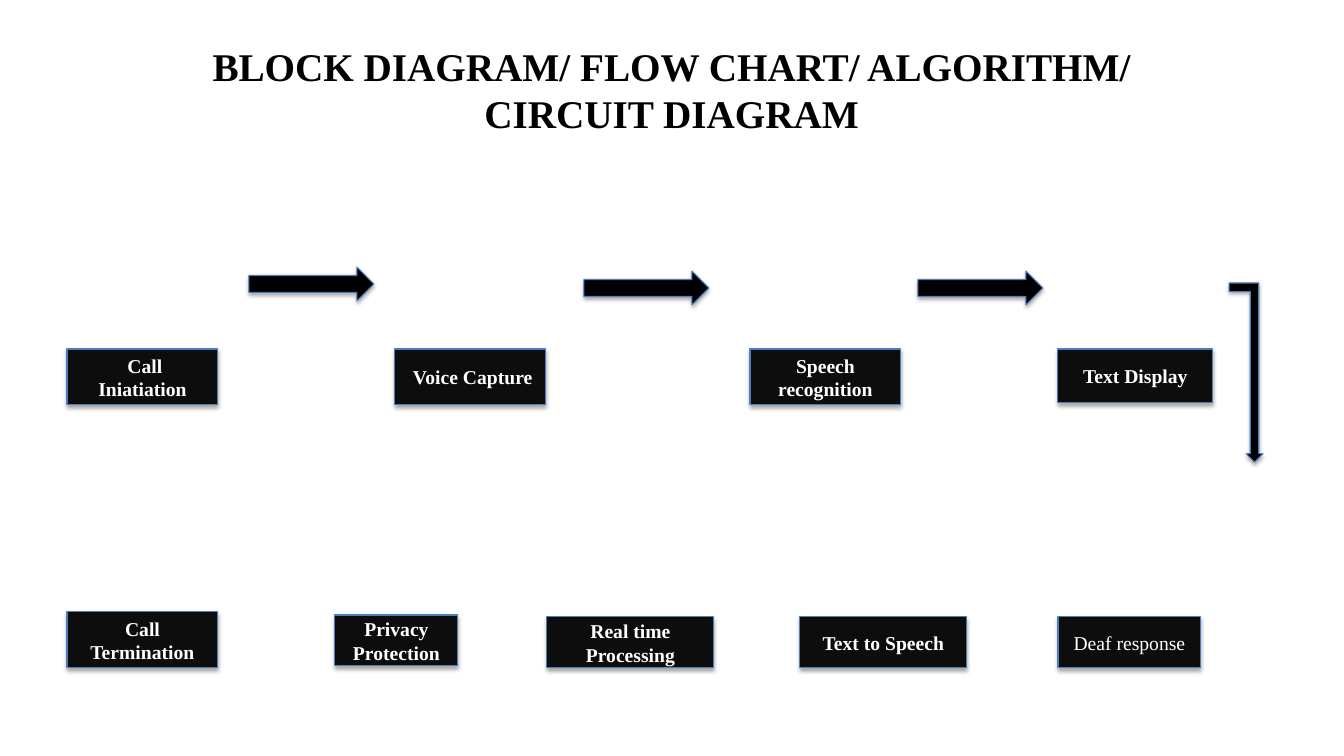
from lxml.etree import SubElement
from pptx import Presentation
from pptx.dml.color import RGBColor
from pptx.enum.shapes import MSO_SHAPE
from pptx.enum.text import MSO_ANCHOR, PP_ALIGN
from pptx.oxml.ns import qn
from pptx.util import Pt

TITLE = "BLOCK DIAGRAM/ FLOW CHART/ ALGORITHM/ CIRCUIT DIAGRAM"
TITLE_AT = (150, 42, 1043, 95)

# text, (left, top, width, height) in px, bold
STEPS = [
    (" Call Iniatiation", (67, 349, 151, 56), True),
    (" Voice Capture", (395, 349, 151, 56), True),
    ("Speech recognition", (750, 349, 151, 56), True),
    ("Text Display", (1058, 349, 155, 54), True),
    ("Call Termination", (67, 612, 151, 56), True),
    ("Privacy Protection", (335, 615, 123, 51), True),
    ("Real time Processing", (547, 617, 167, 51), True),
    ("Text to Speech", (800, 617, 167, 51), True),
    ("Deaf response", (1058, 617, 143, 51), False),
]
ARROWS = [(249, 267), (584, 271), (918, 271)]
ARROW_SIZE = (125, 34)
TURN_AT = (1229, 283, 34, 179)

THEME = {
    "font": "Times New Roman",
    "title": 28,
    "label": 14,
    "ink": "000000",
    "box": "0D0D0D",
    "edge": "4B7EBC",
    "light": "FFFFFF",
}
SCALE = 914400 / 100.8


def px(*sizes):
    return [round(size * SCALE) for size in sizes]


def color(name):
    return RGBColor.from_string(THEME[name])


def write(frame, text, size, ink, bold):
    frame.word_wrap = True
    frame.text = text
    line = frame.paragraphs[0]
    line.alignment = PP_ALIGN.CENTER
    font = line.runs[0].font
    font.name = THEME["font"]
    font.size = Pt(THEME[size])
    font.bold = bold
    font.color.rgb = color(ink)


def shade(shape):
    """Give the shape a soft shadow that falls straight down."""
    shape.shadow.inherit = False
    effects = shape._element.spPr.find(qn("a:effectLst"))
    outer = SubElement(effects, qn("a:outerShdw"), blurRad=str(Pt(3.1)),
                       dist=str(Pt(1.8)), dir="5400000", rotWithShape="0")
    tint = SubElement(outer, qn("a:srgbClr"), val=THEME["ink"])
    SubElement(tint, qn("a:alpha"), val="35000")


def draw(slide, kind, place, fill):
    shape = slide.shapes.add_shape(kind, *px(*place))
    shape.fill.solid()
    shape.fill.fore_color.rgb = color(fill)
    shape.line.color.rgb = color("edge")
    shape.line.width = Pt(0.75)
    shade(shape)
    return shape


def main():
    deck = Presentation()
    deck.slide_width, deck.slide_height = px(1344, 756)
    slide = deck.slides.add_slide(deck.slide_layouts[6])

    frame = slide.shapes.add_textbox(*px(*TITLE_AT)).text_frame
    frame.margin_left = frame.margin_right = 0
    frame.margin_top = frame.margin_bottom = 0
    write(frame, TITLE, "title", "ink", True)

    for text, place, bold in STEPS:
        frame = draw(slide, MSO_SHAPE.RECTANGLE, place, "box").text_frame
        frame.vertical_anchor = MSO_ANCHOR.MIDDLE
        write(frame, text, "label", "light", bold)

    for spot in ARROWS:
        draw(slide, MSO_SHAPE.RIGHT_ARROW, spot + ARROW_SIZE, "ink")

    turn = draw(slide, MSO_SHAPE.BENT_UP_ARROW, TURN_AT, "ink")
    turn.rotation = 180
    turn._element.spPr.xfrm.set("flipH", "1")

    deck.save("out.pptx")


if __name__ == "__main__":
    main()
